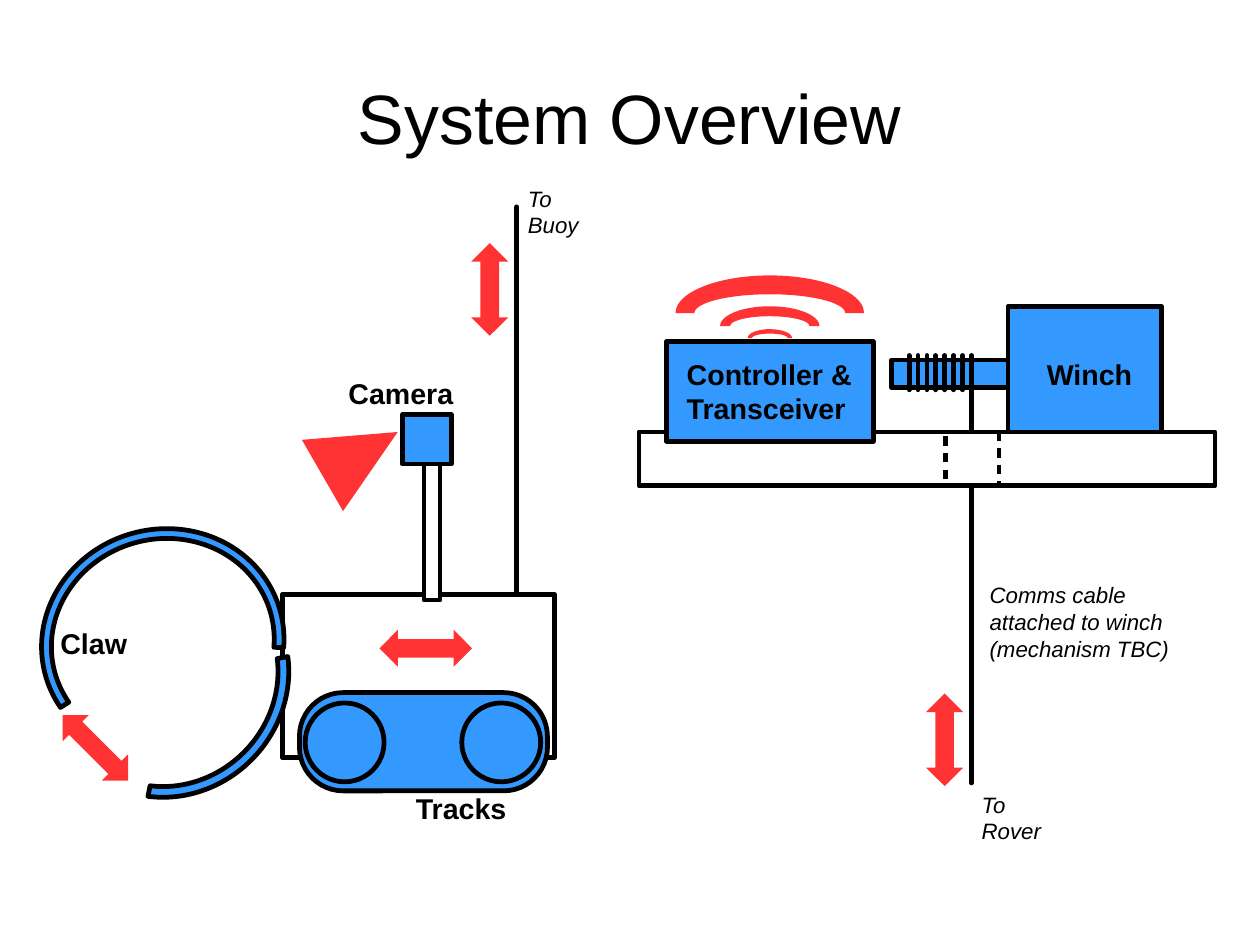
from dataclasses import dataclass
from typing import Optional

from pptx import Presentation
from pptx.dml.color import RGBColor
from pptx.enum.shapes import MSO_CONNECTOR, MSO_SHAPE
from pptx.enum.text import MSO_ANCHOR, MSO_AUTO_SIZE, PP_ALIGN
from pptx.oxml.ns import qn
from pptx.util import Cm, Inches, Pt
from lxml.etree import SubElement

BLUE = RGBColor(0x33, 0x99, 0xFF)
RED = RGBColor(0xFF, 0x33, 0x33)
WHITE = RGBColor(0xFF, 0xFF, 0xFF)
BLACK = RGBColor(0, 0, 0)
FONT = "Arial"
STROKE = Pt(3)

# Square cells, about 110 columns by 83 rows
CELL = Inches(0.1)

RECT = MSO_SHAPE.RECTANGLE
OVAL = MSO_SHAPE.OVAL
ARC = MSO_SHAPE.BLOCK_ARC


@dataclass
class Part:
    kind: MSO_SHAPE
    col: float
    row: float
    wide: float
    high: float
    fill: Optional[RGBColor] = BLUE
    edge: bool = True
    turn: float = 0
    adjust: tuple[float, ...] = ()
    dashed: bool = False


@dataclass
class Cord:
    col: float
    row: float
    high: float


@dataclass
class Label:
    text: str
    col: float
    row: float
    wide: float
    high: float
    size: int = 18
    bold: bool = True
    slant: bool = False
    wrap: bool = False
    inset: tuple[float, float] = (1, 0.5)
    align: PP_ALIGN = PP_ALIGN.LEFT
    anchor: MSO_ANCHOR = MSO_ANCHOR.TOP


def grid(*cells: float) -> list[int]:
    return [round(cell * CELL) for cell in cells]


def arrow(col: float, row: float, turn: float = 0) -> Part:
    return Part(MSO_SHAPE.LEFT_RIGHT_ARROW, col, row, 8.1, 3.25, RED, False,
                turn, (0.5, 0.498))


def wave(col: float, row: float, wide: float) -> Part:
    return Part(ARC, col, row, wide, wide * 0.4, RED, False, 0, (108, 0, 0.25))


def note(text: str, col: float, row: float, wide: float, high: float) -> Label:
    return Label(text, col, row, wide, high, 14, False, True, True)


def draw_part(shapes, part: Part) -> None:
    shape = shapes.add_shape(
        part.kind, *grid(part.col, part.row, part.wide, part.high))
    shape.shadow.inherit = False
    shape.rotation = part.turn
    for index, value in enumerate(part.adjust):
        shape.adjustments[index] = value
    if part.fill is None:
        shape.fill.background()
    else:
        shape.fill.solid()
        shape.fill.fore_color.rgb = part.fill
    if part.edge:
        shape.line.color.rgb = BLACK
        shape.line.width = STROKE
    else:
        shape.line.fill.background()
    if part.dashed:
        edge = shape._element.spPr.find(qn("a:ln"))
        dash = SubElement(edge, qn("a:custDash"))
        SubElement(dash, qn("a:ds"), d="200000", sp="150000")


def draw_cord(shapes, cord: Cord) -> None:
    line = shapes.add_connector(
        MSO_CONNECTOR.STRAIGHT,
        *grid(cord.col, cord.row, cord.col, cord.row + cord.high))
    line.line.color.rgb = BLACK
    line.line.width = STROKE
    props = line._element.spPr
    props.find(qn("a:ln")).set("cap", "rnd")
    SubElement(props, qn("a:effectLst"))


def draw_label(shapes, label: Label) -> None:
    box = shapes.add_textbox(
        *grid(label.col, label.row, label.wide, label.high))
    frame = box.text_frame
    frame.word_wrap = label.wrap
    if not label.wrap:
        frame.auto_size = MSO_AUTO_SIZE.SHAPE_TO_FIT_TEXT
    frame.vertical_anchor = label.anchor
    side, edge = grid(*label.inset)
    frame.margin_left = frame.margin_right = side
    frame.margin_top = frame.margin_bottom = edge
    frame.text = label.text
    for para in frame.paragraphs:
        para.alignment = label.align
        for run in para.runs:
            font = run.font
            font.name, font.size = FONT, Pt(label.size)
            font.bold, font.italic = label.bold, label.slant
            font.color.rgb = BLACK


TITLE = Label("System Overview", 5.5, 3.3, 99.2, 13.8, 44, False, wrap=True,
              inset=(0, 0), align=PP_ALIGN.CENTER, anchor=MSO_ANCHOR.MIDDLE)

ROVER = [
    # Body and tracks
    Part(RECT, 24.7, 52, 23.8, 14.3, WHITE),
    Part(MSO_SHAPE.ROUNDED_RECTANGLE, 26.2, 60.6, 21.7, 8.6, adjust=(0.446,)),
    *(Part(OVAL, col, 61.5, 6.9, 6.9) for col in (26.7, 40.4)),
    # Camera on its mast, with its view
    Part(RECT, 37.1, 38.7, 1.4, 13.8, WHITE),
    Part(RECT, 35.2, 36.3, 4.3, 4.3),
    Part(MSO_SHAPE.ISOSCELES_TRIANGLE, 27.9, 35.9, 7.2, 7.6, RED, False, 60),
    # Claw
    Part(ARC, 4.3, 49.5, 21.3, 19.9, turn=135,
         adjust=(128.34, 195.66, 0.047)),
    Part(ARC, 3.6, 46.3, 21.3, 19.9, turn=345, adjust=(97.66, 10.34, 0.043)),
    # Moves and cable
    arrow(4.3, 63.8, 225),
    arrow(33.2, 55.1),
    Cord(45.2, 18.1, 33.9),
    arrow(38.8, 23.7, 270),
    # Labels
    note("To Buoy", 45.2, 15.7, 8, 5.4),
    Label("Claw", 4.3, 54.3, 7.9, 3.8),
    Label("Camera", 29.5, 32.4, 11.2, 3.8),
    Label("Tracks", 35.4, 68.7, 9.9, 3.8),
]

BUOY = [
    # Winch, cable and its coils
    Part(RECT, 78, 31.5, 11.8, 2.4),
    Part(RECT, 88.2, 26.8, 13.4, 11.8),
    Cord(85, 31.1, 37.4),
    *(Cord(85 - 0.78 * turn, 31.1, 3) for turn in range(1, 8)),
    # Deck with the cable hole
    Part(RECT, 55.9, 37.8, 50.4, 4.7, WHITE),
    Part(RECT, 82.7, 37.8, 4.7, 4.7, None, dashed=True),
    arrow(78.6, 63.1, 270),
    # Transceiver and its waves
    Part(RECT, 58.3, 29.9, 18.1, 8.7),
    wave(65.4, 28.8, 3.9),
    wave(63, 26.8, 8.7),
    wave(59.1, 24.1, 16.5),
    # Labels
    note("To Rover", 84.9, 68.7, 8.7, 5.4),
    Label("Winch", 90.6, 30.7, 9.5, 3.8),
    note("Comms cable attached to winch (mechanism TBC)",
         85.6, 50.4, 18.4, 7.5),
    Label("Controller &\nTransceiver", 59.1, 30.7, 16.5, 6.6),
]

DRAW = {Part: draw_part, Cord: draw_cord, Label: draw_label}


def main() -> None:
    deck = Presentation()
    deck.slide_width = Cm(28)
    deck.slide_height = Cm(21)
    slide = deck.slides.add_slide(deck.slide_layouts[6])
    for item in [TITLE, *ROVER, *BUOY]:
        DRAW[type(item)](slide.shapes, item)
    deck.save("out.pptx")


if __name__ == "__main__":
    main()
